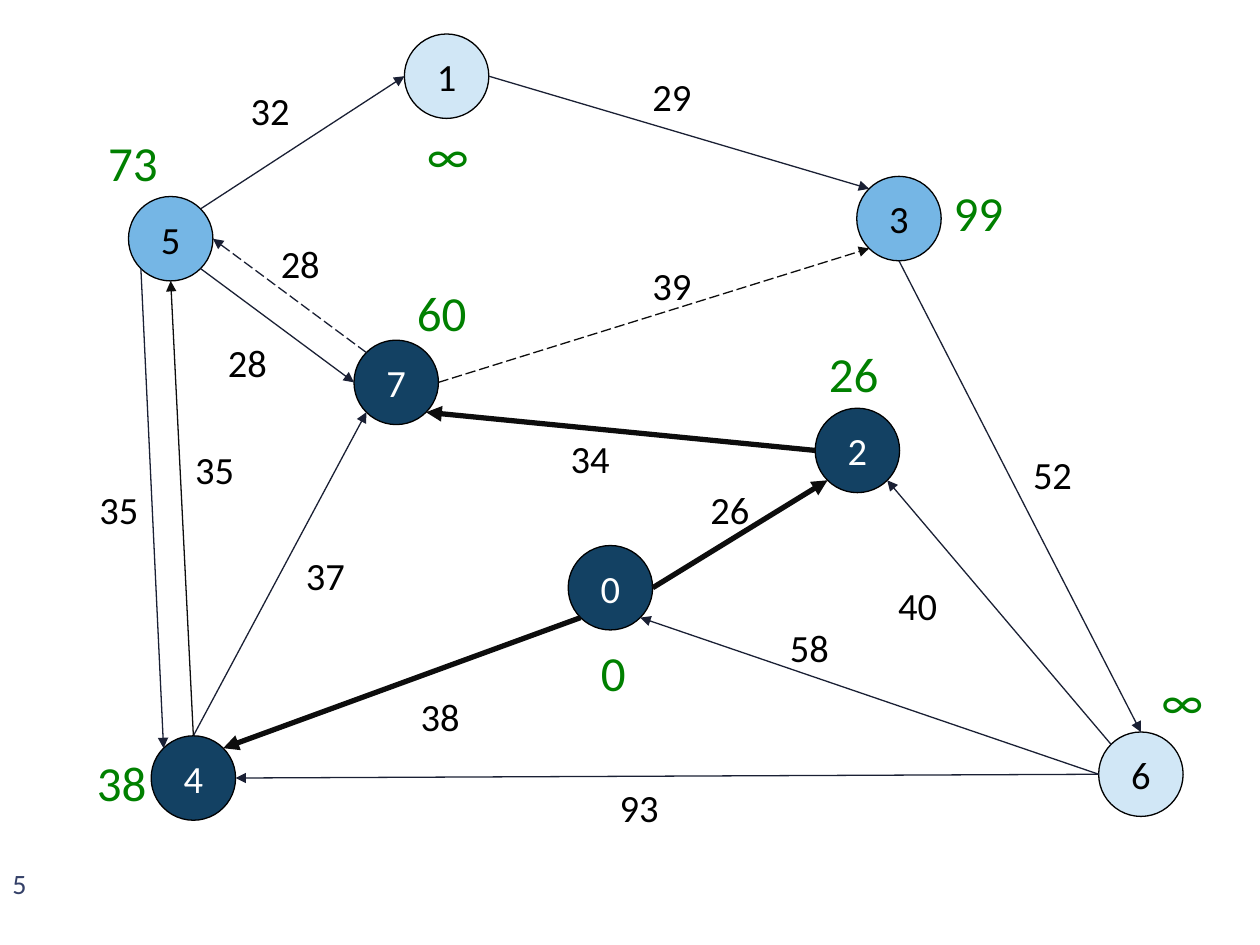
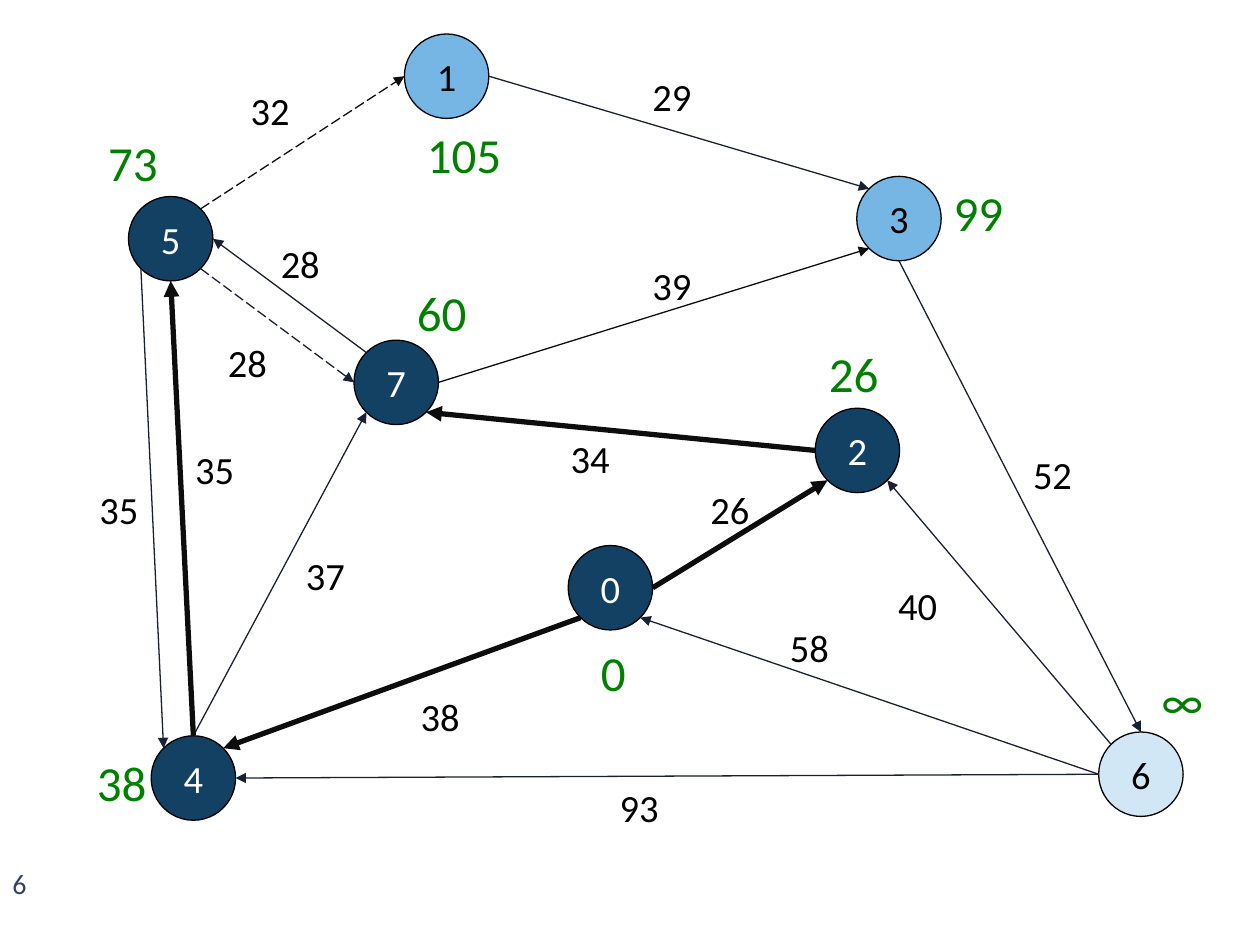
from dataclasses import dataclass
from math import cos, radians, sin

from lxml import etree
from pptx import Presentation
from pptx import util as u
from pptx.dml.color import RGBColor
from pptx.enum import dml, shapes, text
from pptx.oxml import ns


@dataclass(frozen=True)
class Theme:
    font: str = "Calibri"
    settled: str = "134163"
    frontier: str = "75B6E5"
    unseen: str = "D1E7F6"
    black: str = "000000"
    white: str = "FFFFFF"
    edge: str = "1A2034"
    chosen_edge: str = "0D0D0D"
    distance: str = "008000"
    page: str = "344068"
    graph_size: int = 22
    distance_size: int = 28
    page_size: int = 16
    thin: float = 0.75
    thick: float = 3


@dataclass(frozen=True)
class Step:
    """One step of the shortest-path search; edges are (start, end)."""
    page: str
    settled: set
    frontier: set
    tree: set        # thick edges
    relaxed: set     # dashed edges
    improved: set    # thin edges in the darker ink
    distances: dict


THEME = Theme()
DIAMETER = 0.67
GRAPH_BOX = (0.67, 0.27)
PAGE_BOX = (0, 6.83, 0.58, 0.42)

# Places inside the graph box: node corner, distance corner
NODES = {
    0: ((3.84, 4.06), (4.0, 4.78)),
    3: ((6.13, 1.13), (6.8, 1.13)),
    4: ((0.53, 5.57), (0, 5.65)),
    2: ((5.8, 2.97), (5.81, 2.41)),
    5: ((0.35, 1.29), (0.09, 0.73)),
    6: ((8.05, 5.54), (8.45, 5.0)),
    1: ((2.54, 0), (2.62, 0.67)),
    7: ((2.14, 2.43), (2.54, 1.92)),
}

# An ellipse has eight sites, counted counterclockwise from the top
TOP, TOP_LEFT, LEFT, LOW_LEFT, BOTTOM, LOW_RIGHT, RIGHT, TOP_RIGHT = range(8)

# start, end, start site, end site, weight, weight corner
EDGES = [
    (6, 4, LEFT, RIGHT, "93", (4.15, 5.9)),
    (6, 0, LEFT, LOW_RIGHT, "58", (5.5, 4.63)),
    (6, 2, TOP_LEFT, LOW_RIGHT, "40", (6.36, 4.3)),
    (3, 6, BOTTOM, TOP, "52", (7.43, 3.26)),
    (0, 2, RIGHT, LOW_LEFT, "26", (4.87, 3.54)),
    (2, 7, LEFT, LOW_RIGHT, "34", (3.76, 3.13)),
    (7, 3, RIGHT, LOW_LEFT, "39", (4.41, 1.76)),
    (0, 4, LOW_LEFT, TOP_RIGHT, "38", (2.57, 5.18)),
    (4, 7, TOP, LOW_LEFT, "37", (1.66, 4.06)),
    (4, 5, TOP, BOTTOM, "35", (0.78, 3.22)),
    (5, 4, LOW_LEFT, TOP_LEFT, "35", (0.02, 3.54)),
    (7, 5, TOP_LEFT, RIGHT, "28", (1.46, 1.59)),
    (5, 7, LOW_RIGHT, LEFT, "28", (1.04, 2.37)),
    (5, 1, TOP_RIGHT, LEFT, "32", (1.22, 0.37)),
    (1, 3, RIGHT, TOP_LEFT, "29", (4.41, 0.26)),
]

BASE_TREE = {(0, 2), (2, 7), (0, 4)}
BASE_DISTANCES = {0: "0", 3: "99", 1: "∞", 5: "73",
                  7: "60", 2: "26", 6: "∞", 4: "38"}
STEPS = [
    Step("5", {0, 2, 4, 7}, {3, 5}, BASE_TREE,
         {(7, 3), (7, 5)}, {(4, 5), (7, 3)}, BASE_DISTANCES),
    Step("6", {0, 2, 4, 5, 7}, {1, 3}, BASE_TREE | {(4, 5)},
         {(5, 7), (5, 1)}, {(7, 3), (5, 1)}, {**BASE_DISTANCES, 1: "105"}),
]


def rgb(color):
    return RGBColor.from_string(color)


def add_run(paragraph, words, size, color):
    run = paragraph.add_run()
    run.text = words
    run.font.name = THEME.font
    run.font.size = u.Pt(size)
    run.font.color.rgb = rgb(color)


def add_label(slide, box, words, size, color, wrap=False):
    label = slide.shapes.add_textbox(*map(u.Inches, box))
    frame = label.text_frame
    frame.word_wrap = wrap
    if not wrap:
        frame.auto_size = text.MSO_AUTO_SIZE.SHAPE_TO_FIT_TEXT
    add_run(frame.paragraphs[0], words, size, color)


def add_node(slide, left, top, number, fill, ink):
    node = slide.shapes.add_shape(
        shapes.MSO_SHAPE.OVAL,
        *map(u.Inches, (left, top, DIAMETER, DIAMETER)))
    node.shadow.inherit = False
    node.fill.solid()
    node.fill.fore_color.rgb = rgb(fill)
    node.line.color.rgb = rgb(THEME.black)
    node.line.width = u.Pt(THEME.thin)
    frame = node.text_frame
    frame.word_wrap = False
    frame.vertical_anchor = text.MSO_ANCHOR.MIDDLE
    frame.paragraphs[0].alignment = text.PP_ALIGN.CENTER
    add_run(frame.paragraphs[0], str(number), THEME.graph_size, ink)
    return node


def site_point(node, site):
    """Point on the node's rim at one of its eight sites."""
    angle, radius = radians(90 + 45 * site), node.width / 2
    return (round(node.left + radius * (1 + cos(angle))),
            round(node.top + radius * (1 - sin(angle))))


def add_edge(slide, start, end, start_site, end_site, color, width, dashed):
    edge = slide.shapes.add_connector(
        shapes.MSO_CONNECTOR.STRAIGHT,
        *site_point(start, start_site), *site_point(end, end_site))
    edge.line.color.rgb = rgb(color)
    edge.line.width = u.Pt(width)
    if dashed:
        edge.line.dash_style = dml.MSO_LINE.LONG_DASH
    # Arrowhead and no shadow
    properties = edge._element.spPr
    etree.SubElement(properties.find(ns.qn("a:ln")), ns.qn("a:tailEnd"),
                     type="triangle")
    etree.SubElement(properties, ns.qn("a:effectLst"))
    # Join both ends to the ellipse sites
    joints = edge._element.find(".//" + ns.qn("p:cNvCxnSpPr"))
    for tag, node, site in (("a:stCxn", start, start_site),
                            ("a:endCxn", end, end_site)):
        etree.SubElement(joints, ns.qn(tag),
                         id=str(node.shape_id), idx=str(site))


def draw_graph(slide, box, step):
    def place(corner):
        return box[0] + corner[0], box[1] + corner[1]

    # Nodes, coloured by their state
    nodes = {}
    for number, (corner, _) in NODES.items():
        if number in step.settled:
            fill, ink = THEME.settled, THEME.white
        elif number in step.frontier:
            fill, ink = THEME.frontier, THEME.black
        else:
            fill, ink = THEME.unseen, THEME.black
        nodes[number] = add_node(slide, *place(corner), number, fill, ink)

    # Edges with their weights
    for start, end, start_site, end_site, weight, corner in EDGES:
        pair = (start, end)
        dark = pair in step.tree | step.improved
        add_edge(slide, nodes[start], nodes[end], start_site, end_site,
                 THEME.chosen_edge if dark else THEME.edge,
                 THEME.thick if pair in step.tree else THEME.thin,
                 pair in step.relaxed)
        add_label(slide, (*place(corner), 0.51, 0.47), weight,
                  THEME.graph_size, THEME.black)

    # Distances from the start node
    for number, (_, corner) in NODES.items():
        distance = step.distances[number]
        width = 0.54 if distance == "∞" else 0.2 + 0.2 * len(distance)
        add_label(slide, (*place(corner), width, 0.57), distance,
                  THEME.distance_size, THEME.distance)


def draw_page_number(slide, box, number):
    add_label(slide, box, number, THEME.page_size, THEME.page, wrap=True)


def main():
    deck = Presentation()
    deck.slide_width, deck.slide_height = u.Inches(10), u.Inches(7.5)
    for step in STEPS:
        slide = deck.slides.add_slide(deck.slide_layouts[6])
        draw_page_number(slide, PAGE_BOX, step.page)
        draw_graph(slide, GRAPH_BOX, step)
    deck.save("out.pptx")


if __name__ == "__main__":
    main()
